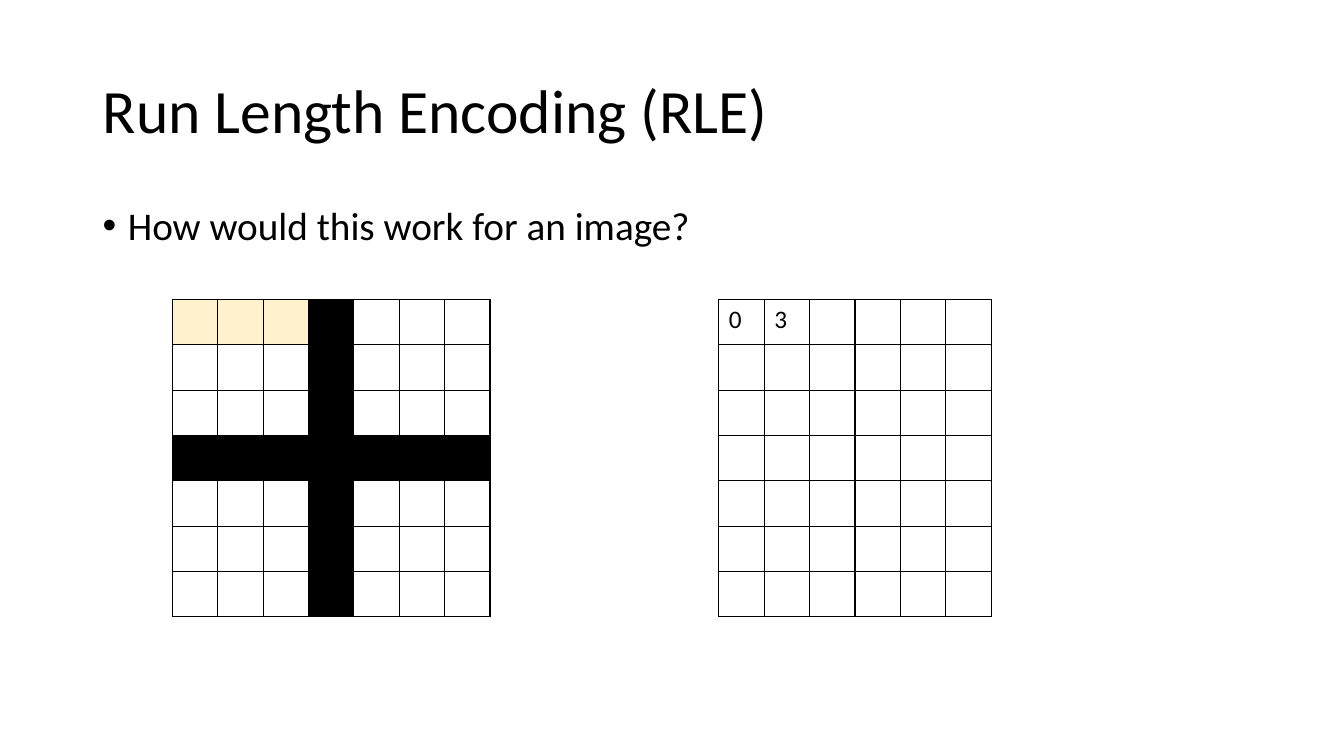
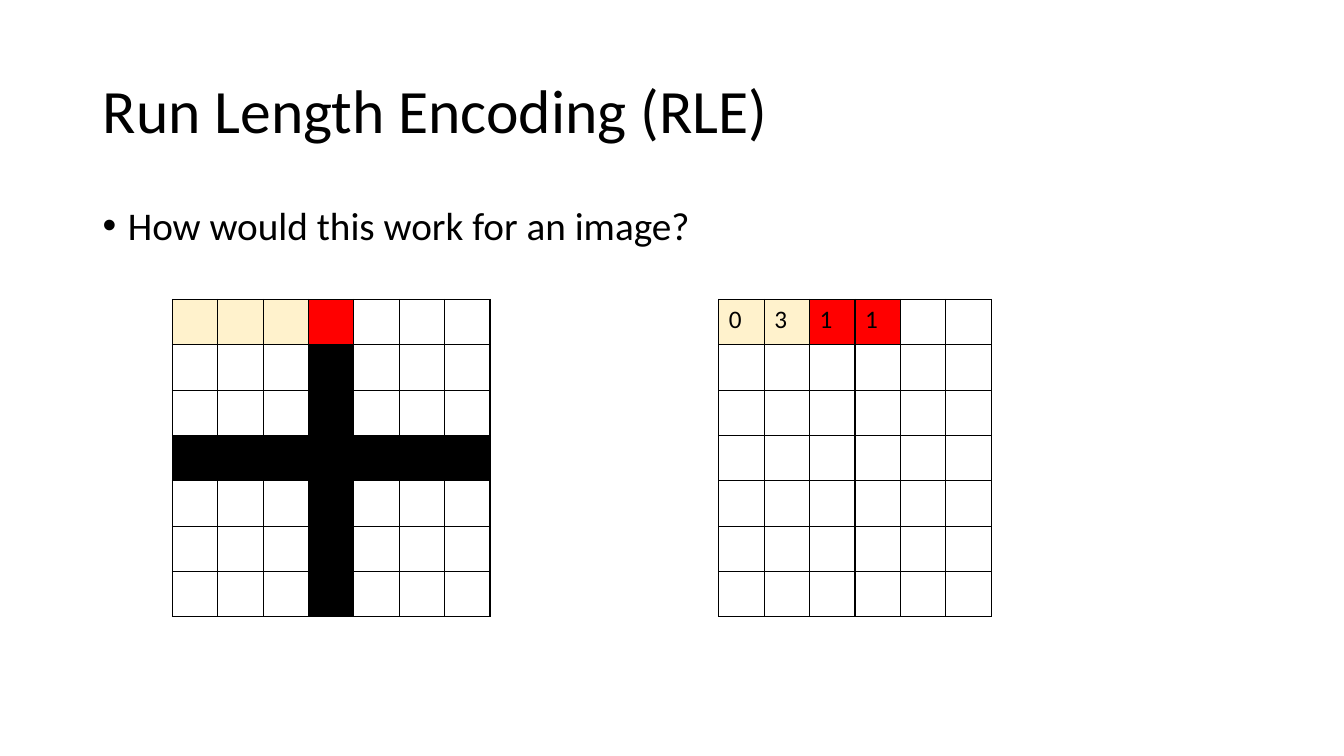
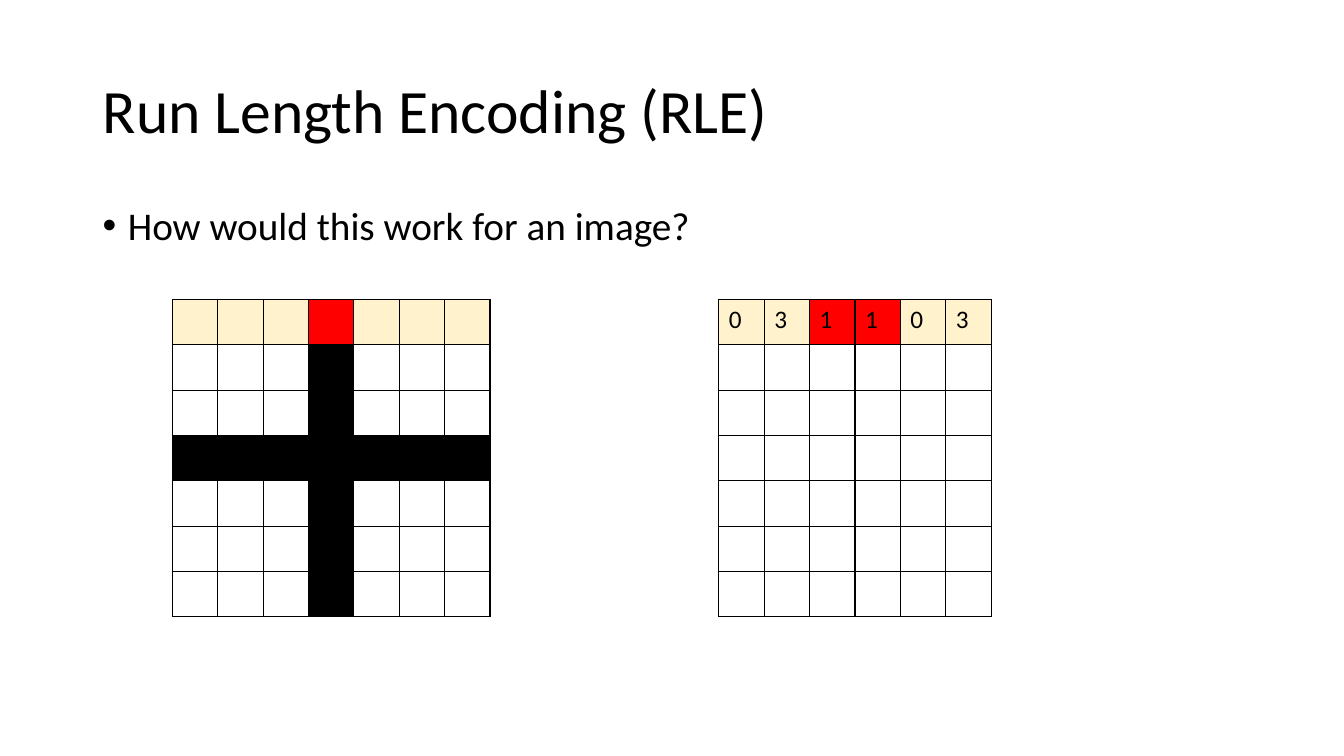
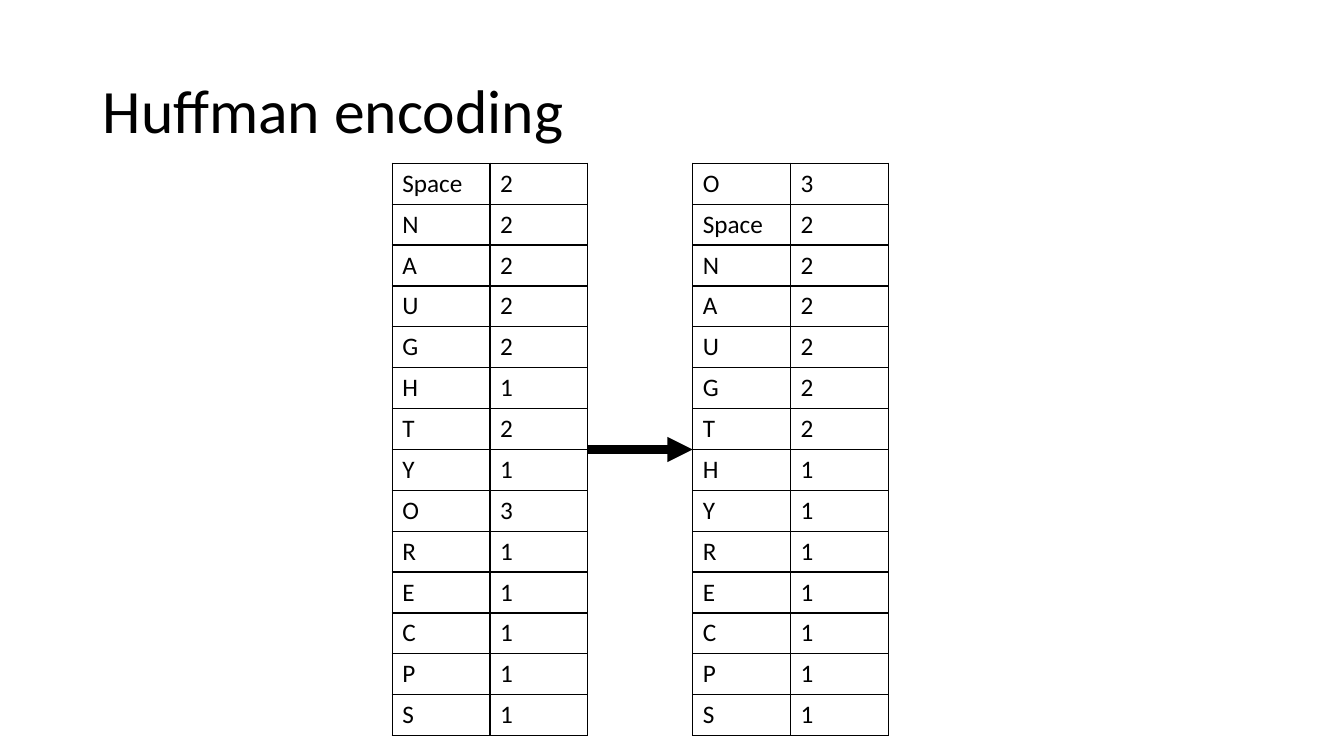
from lxml.etree import SubElement
from pptx import Presentation
from pptx.dml.color import RGBColor
from pptx.enum.shapes import MSO_CONNECTOR as CONN
from pptx.enum.text import MSO_ANCHOR as ANCHOR
from pptx.oxml.ns import qn
from pptx.util import Inches, Pt

# Content
RLE_TITLE = "Run Length Encoding (RLE)"
RLE_QUESTION = "How would this work for an image?"
HUFFMAN_TITLE = "Huffman encoding"

# Each step: first image row, code row, fills of the code row
RLE_STEPS = [
    ("yyyk...", "03", "......"),
    ("yyyr...", "0311", "yyrr.."),
    ("yyyryyy", "031103", "yyrryy"),
]
IMAGE_REST = ["...k..."] * 2 + ["kkkkkkk"] + ["...k..."] * 3
CODE_REST = ["......"] * 6

COUNTS = [("Space", 2), ("N", 2), ("A", 2), ("U", 2), ("G", 2), ("H", 1), ("T", 2),
          ("Y", 1), ("O", 3), ("R", 1), ("E", 1), ("C", 1), ("P", 1), ("S", 1)]
SORTED_COUNTS = sorted(COUNTS, key=lambda pair: -pair[1])

# Shared style
BLACK = "000000"
FILLS = {".": "FFFFFF", "k": BLACK, "y": "FFF2CC", "r": "FF0000"}
FONT = "Calibri"
WIDTH, HEIGHT = 13.33, 7.5
MARGIN = 0.92

# Grids
PIXEL = 0.45
IMAGE_X, CODE_X, PIXEL_Y = 1.71, 7.13, 2.97
COUNT_X, SORTED_X, COUNT_Y = 3.89, 6.87, 1.62
COUNT_W, COUNT_H = 0.97, 5.68 / len(COUNTS)


def rgb(value):
    return RGBColor.from_string(value)


def write(p, text, size):
    r = p.add_run()
    r.text = text
    for name, value in {"name": FONT, "size": Pt(size)}.items():
        setattr(r.font, name, value)
    r.font.color.rgb = rgb(BLACK)


def add_text(s, text, size, box, anchor=ANCHOR.TOP, bullet=False):
    tf = s.shapes.add_textbox(*map(Inches, box)).text_frame
    tf.word_wrap = True
    tf.vertical_anchor = anchor
    p = tf.paragraphs[0]
    p.line_spacing = 0.9
    if bullet:
        pPr = p._p.get_or_add_pPr()
        pPr.set("marL", str(Inches(0.25)))
        pPr.set("indent", str(-Inches(0.25)))
        SubElement(pPr, qn("a:buFont"), typeface="Arial")
        SubElement(pPr, qn("a:buChar"), char="•")
    write(p, text, size)


def add_borders(cell):
    tcPr = cell._tc.get_or_add_tcPr()
    for side in ("lnL", "lnR", "lnT", "lnB"):
        ln = SubElement(tcPr, qn(f"a:{side}"), w=str(Pt(1)))
        SubElement(SubElement(ln, qn("a:solidFill")), qn("a:srgbClr"), val=BLACK)


def add_grid(s, x, y, cell_w, cell_h, texts, fills=None):
    """Draw a bordered table; texts may be shorter than the fill rows."""
    shape_rows = fills or texts
    rows, cols = len(shape_rows), len(shape_rows[0])
    table = s.shapes.add_table(rows, cols, Inches(x), Inches(y),
                               Inches(cell_w * cols), Inches(cell_h * rows)).table
    table.first_row = table.horz_banding = False
    for col in table.columns:
        col.width = Inches(cell_w)
    for i, row in enumerate(table.rows):
        row.height = Inches(cell_h)
        for j, cell in enumerate(row.cells):
            add_borders(cell)
            if fills:
                cell.fill.solid()
                cell.fill.fore_color.rgb = rgb(FILLS[fills[i][j]])
            else:
                cell.fill.background()
            if i < len(texts) and j < len(texts[i]):
                write(cell.text_frame.paragraphs[0], str(texts[i][j]), 18)


def add_arrow(s, x1, x2, y):
    line = s.shapes.add_connector(CONN.STRAIGHT, *map(Inches, (x1, y, x2, y)))
    line.line.color.rgb = rgb(BLACK)
    line.line.width = Pt(6)
    SubElement(line.line._get_or_add_ln(), qn("a:tailEnd"), type="triangle")
    SubElement(line._element.spPr, qn("a:effectLst"))


def new_slide(prs, title):
    s = prs.slides.add_slide(prs.slide_layouts[6])
    add_text(s, title, 44, (MARGIN, 0.4, 11.5, 1.45), ANCHOR.MIDDLE)
    return s


def main():
    prs = Presentation()
    prs.slide_width, prs.slide_height = Inches(WIDTH), Inches(HEIGHT)

    # Run length encoding, one step per slide
    for top_row, code, code_fills in RLE_STEPS:
        s = new_slide(prs, RLE_TITLE)
        add_text(s, RLE_QUESTION, 28, (MARGIN, 2, 10.93, 5.1), bullet=True)
        add_grid(s, IMAGE_X, PIXEL_Y, PIXEL, PIXEL, [], [top_row] + IMAGE_REST)
        add_grid(s, CODE_X, PIXEL_Y, PIXEL, PIXEL, [code], [code_fills] + CODE_REST)

    # Huffman: letter counts, then sorted by count
    s = new_slide(prs, HUFFMAN_TITLE)
    for x, counts in ((COUNT_X, COUNTS), (SORTED_X, SORTED_COUNTS)):
        add_grid(s, x, COUNT_Y, COUNT_W, COUNT_H, counts)
    add_arrow(s, COUNT_X + 2 * COUNT_W, SORTED_X, COUNT_Y + COUNT_H * len(COUNTS) / 2)

    prs.save("out.pptx")


if __name__ == "__main__":
    main()
